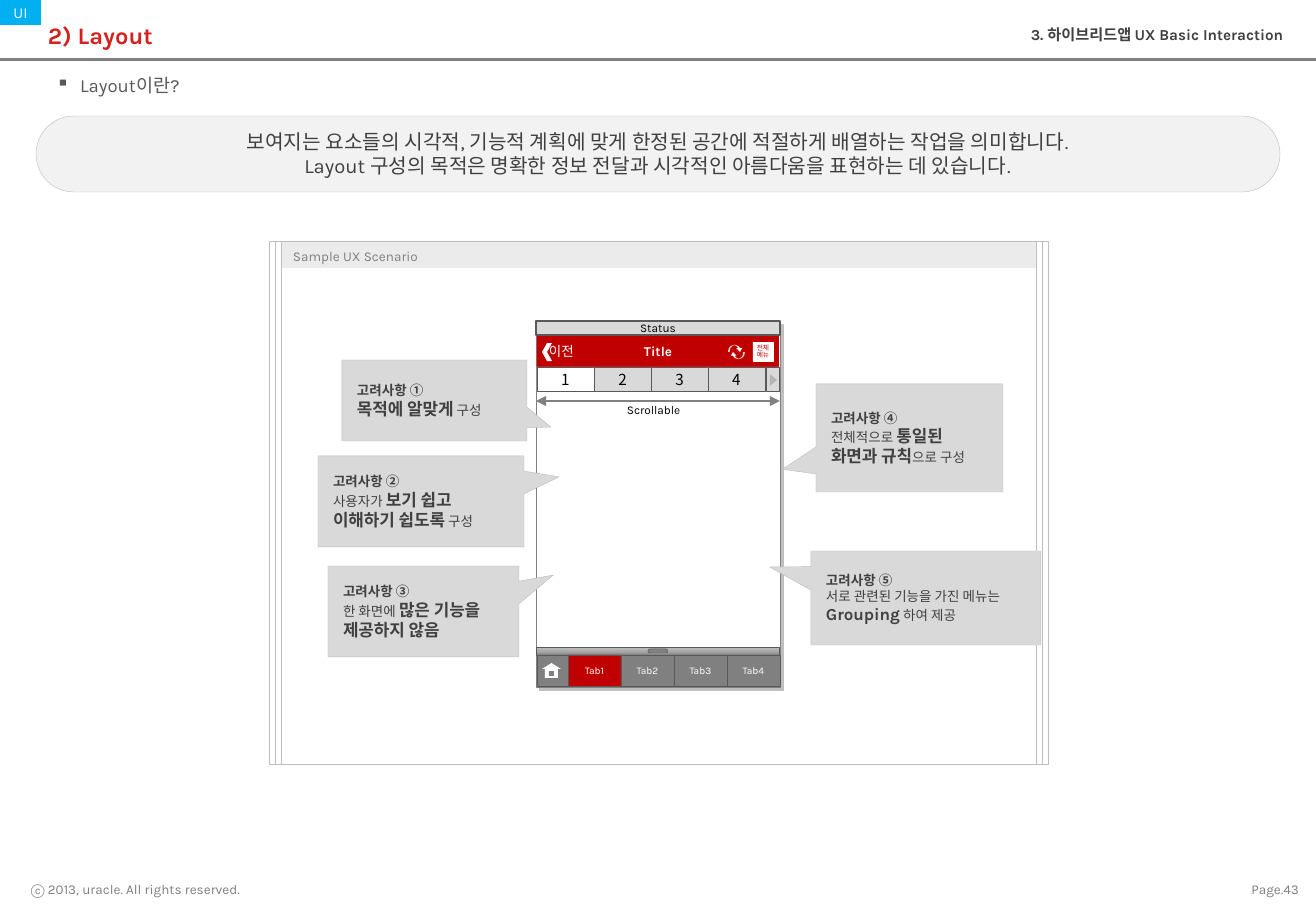
"""Build the Layout slide with its phone mockup and five callouts."""
from copy import deepcopy
from dataclasses import dataclass

from lxml.etree import SubElement
from pptx import Presentation
from pptx.dml.color import RGBColor as Rgb
from pptx.enum.shapes import MSO_CONNECTOR as Link, MSO_SHAPE as Kind
from pptx.enum.text import MSO_ANCHOR as Anchor, PP_ALIGN as Align
from pptx.oxml.ns import qn
from pptx.util import Pt

SCALE = 7526


@dataclass(frozen=True)
class Theme:
    white: str = "FFFFFF"
    black: str = "000000"
    pale: str = "F2F2F2"
    light: str = "D9D9D9"
    edge: str = "BFBFBF"
    mid: str = "A6A6A6"
    gray: str = "808080"
    dark: str = "595959"
    ink: str = "404040"
    red: str = "C00000"
    title: str = "D5211D"
    blue: str = "00B0F0"
    face: str = "Karla"
    asian: str = "Noto Sans CJK KR"
    plain: str = "Arial"
    mini: int = 4
    tab: int = 6
    note: int = 7
    small: int = 8
    label: int = 9
    strong: int = 10
    point: int = 11
    lead: int = 12
    head: int = 14
    thin: float = 0.25
    rule: float = 0.75


T = Theme()


@dataclass(frozen=True)
class Words:
    text: str
    size: int = T.small
    color: str = T.gray
    bold: bool = False
    align: Align = Align.CENTER
    anchor: Anchor = Anchor.MIDDLE
    pad: tuple[int, int] = (0, 0)
    face: str = T.face
    lead: float | None = None
    bullet: str = ""


@dataclass(frozen=True)
class Box:
    x: int
    y: int
    w: int
    h: int
    fill: str | None = None
    line: str | None = None
    words: Words | None = None
    kind: Kind | None = Kind.RECTANGLE
    adj: tuple[float, ...] = ()
    turn: int = 0
    width: float = T.thin
    alpha: int = 100


@dataclass(frozen=True)
class Note:
    x: int
    y: int
    w: int
    h: int
    adj: tuple[float, float]
    mark: str
    bits: tuple[str, str, str]


def px(n: int) -> int:
    return n * SCALE


def style(run, size: int, color: str, bold: bool, face: str = T.face) -> None:
    font = run.font
    font.size, font.bold, font.name = Pt(size), bold, face
    font.color.rgb = Rgb.from_string(color)
    SubElement(font._element, qn("a:ea"), typeface=T.asian)


def frame(shape, pad: tuple[int, int], anchor: Anchor):
    tf = shape.text_frame
    tf.word_wrap, tf.vertical_anchor = True, anchor
    tf.margin_left = tf.margin_right = px(pad[0])
    tf.margin_top = tf.margin_bottom = px(pad[1])
    return tf


def write(shape, words: Words) -> None:
    tf = frame(shape, words.pad, words.anchor)
    tf.text = words.text
    for para in tf.paragraphs:
        para.alignment = words.align
        if words.lead:
            para.line_spacing = words.lead
        if words.bullet:
            prop = para._p.get_or_add_pPr()
            prop.set("marL", str(px(24)))
            prop.set("indent", str(px(-24)))
            SubElement(prop, qn("a:buChar"), char=words.bullet)
        for run in para.runs:
            style(run, words.size, words.color, words.bold, words.face)


def draw(slide, box: Box):
    area = [px(n) for n in (box.x, box.y, box.w, box.h)]
    if box.kind is None:
        shape = slide.shapes.add_textbox(*area)
    else:
        shape = slide.shapes.add_shape(box.kind, *area)
        shape.shadow.inherit = False
        shape.rotation = box.turn
        for i, value in enumerate(box.adj):
            shape.adjustments[i] = value
        if box.fill:
            shape.fill.solid()
            shape.fill.fore_color.rgb = Rgb.from_string(box.fill)
            if box.alpha < 100:
                tint = shape._element.spPr.find(".//" + qn("a:srgbClr"))
                SubElement(tint, qn("a:alpha"), val=str(box.alpha * 1000))
        else:
            shape.fill.background()
        if box.line:
            shape.line.color.rgb = Rgb.from_string(box.line)
            shape.line.width = Pt(box.width)
        else:
            shape.line.fill.background()
    if box.words:
        write(shape, box.words)
    return shape


def cast(shape) -> None:
    effect = shape._element.spPr.find(qn("a:effectLst"))
    drop = SubElement(effect, qn("a:outerShdw"), blurRad="0", dist=str(int(Pt(3))),
                      dir="2700000", algn="tl", rotWithShape="0")
    SubElement(drop, qn("a:srgbClr"), val=T.edge)


def shade(shape) -> None:
    shape.fill.gradient()
    shape.fill.gradient_angle = 90
    stops = shape._element.spPr.find(".//" + qn("a:gsLst"))
    stops.insert(1, deepcopy(stops[0]))
    for stop, spot, color in zip(shape.fill.gradient_stops, (0, 0.35, 1), (T.gray, T.mid, T.edge)):
        stop.position = spot
        stop.color.rgb = Rgb.from_string(color)


def span(slide, x: int, y: int, end: int) -> None:
    line = slide.shapes.add_connector(Link.STRAIGHT, px(x), px(y), px(end), px(y))
    line.line.color.rgb = Rgb.from_string(T.gray)
    line.line.width = Pt(T.rule)
    for tip in ("a:headEnd", "a:tailEnd"):
        SubElement(line.line._get_or_add_ln(), qn(tip), type="triangle")
    SubElement(line._element.spPr, qn("a:effectLst"))


def tell(slide, note: Note) -> None:
    shape = draw(slide, Box(note.x, note.y, note.w, note.h, T.light, T.edge,
                            kind=Kind.RECTANGULAR_CALLOUT, adj=note.adj))
    tf = frame(shape, (15, 6), Anchor.MIDDLE)
    tf.text = f"고려사항 {note.mark}"
    style(tf.paragraphs[0].runs[0], T.small, T.ink, True)
    body = tf.add_paragraph()
    for i, bit in enumerate(note.bits):
        if bit:
            run = body.add_run()
            run.text = bit
            style(run, T.strong if i == 1 else T.small, T.ink, i == 1)
    for para in tf.paragraphs:
        para.alignment = Align.LEFT


LEFT, RIGHT = Align.LEFT, Align.RIGHT
ROUND, ARROW = Kind.ROUNDED_RECTANGLE, Kind.CURVED_DOWN_ARROW
BEND = (0.25, 0.83, 0.53)
LEAD = ("보여지는 요소들의 시각적, 기능적 계획에 맞게 한정된 공간에 적절하게 배열하는 작업을 의미합니다.\n"
        "Layout 구성의 목적은 명확한 정보 전달과 시각적인 아름다움을 표현하는 데 있습니다.")

PAGE = [
    Box(0, 58, 1316, 3, T.gray),
    Box(1237, 876, 62, 27, words=Words("Page.43", align=RIGHT), kind=None),
    Box(31, 876, 243, 27, words=Words("ⓒ 2013, uracle. All rights reserved.", align=LEFT), kind=None),
    Box(281, 241, 755, 27, T.light, alpha=50,
        words=Words("Sample UX Scenario", align=LEFT, pad=(12, 6), lead=1.2)),
    *[Box(281 - 6 * i, 241, 755 + 12 * i, 523, line=T.edge) for i in range(3)],
    Box(36, 116, 1244, 76, T.pale, T.edge, kind=ROUND, adj=(0.5,)),
    Box(0, 0, 41, 25, T.blue, words=Words("UI", T.label, T.white)),
    Box(62, 125, 1191, 57, words=Words(LEAD, T.lead, T.ink), kind=None),
    Box(36, 10, 1255, 50, kind=None,
        words=Words("2) Layout", T.head, T.title, True, LEFT, pad=(12, 6))),
    Box(836, 19, 459, 34, kind=None,
        words=Words("3. 하이브리드앱 UX Basic Interaction", T.label, T.ink, True, RIGHT, Anchor.TOP, (12, 6))),
    Box(44, 68, 1141, 34, kind=None,
        words=Words("Layout이란?", T.point, T.dark, align=LEFT, pad=(12, 6), bullet="▪")),
]

PHONE = [
    Box(537, 335, 242, 33, T.red, words=Words("Title", color=T.white, bold=True)),
    Box(753, 342, 20, 19, T.white, T.white, Words("전체\n메뉴", T.mini, T.red, lead=0.9)),
    Box(536, 321, 244, 14, T.light, T.dark, Words("Status", T.note, T.black), width=T.rule),
    Box(728, 345, 15, 7, T.white, kind=ARROW, adj=BEND),
    Box(730, 352, 15, 7, T.white, kind=ARROW, adj=BEND, turn=180),
    *[Box(568 + 53 * i, 655, 53, 31, T.gray if i else T.red, T.dark,
          Words(f"Tab{i + 1}", T.tab, T.white)) for i in range(4)],
    Box(537, 655, 31, 31, T.gray, T.dark),
    Box(542, 663, 19, 6, T.white, kind=Kind.ISOSCELES_TRIANGLE),
    Box(545, 668, 13, 10, T.white),
    Box(549, 671, 5, 5, T.gray),
    Box(627, 403, 66, 15, words=Words("Scrollable", T.note, T.black, align=LEFT, anchor=Anchor.TOP), kind=None),
    Box(766, 367, 13, 24, T.light, T.dark),
    Box(770, 374, 7, 12, T.mid, kind=Kind.PENTAGON, adj=(1.76,), alpha=70),
    *[Box(537 + 57 * i, 367, 57, 24, T.light if i else T.white, T.dark,
          Words(f"{i + 1}", T.label, T.black, face=T.asian)) for i in range(4)],
    Box(549, 339, 43, 25, words=Words("이전", color=T.white, align=LEFT, face=T.plain), kind=None),
    Box(542, 343, 10, 18, T.white, kind=Kind.CHEVRON, turn=180),
]

NOTES = [
    Note(318, 456, 206, 91, (0.67, -0.27), "②", ("사용자가 ", "보기 쉽고 이해하기 쉽도록", " 구성")),
    Note(328, 566, 191, 91, (0.68, -0.4), "③", ("한 화면에 ", "많은 기능을 제공하지 않음", "")),
    Note(816, 384, 187, 108, (-0.68, 0.29), "④", ("전체적으로 ", "통일된 화면과 규칙", "으로 구성")),
    Note(811, 551, 230, 94, (-0.68, -0.33), "⑤", ("서로 관련된 기능을 가진 메뉴는 ", "Grouping", " 하여 제공")),
    Note(342, 360, 185, 81, (0.63, 0.33), "①", ("", "목적에 알맞게", " 구성")),
]


def main() -> None:
    deck = Presentation()
    deck.slide_width, deck.slide_height = px(1316), px(911)
    slide = deck.slides.add_slide(deck.slide_layouts[6])
    for box in PAGE:
        draw(slide, box)
    cast(draw(slide, Box(536, 321, 244, 366, T.white, T.gray)))
    shade(draw(slide, Box(536, 647, 243, 8, line=T.dark)))
    draw(slide, Box(648, 649, 20, 4, T.gray, T.dark, kind=ROUND, adj=(0.5,)))
    for box in PHONE:
        draw(slide, box)
    span(slide, 536, 401, 780)
    for note in NOTES:
        tell(slide, note)
    deck.save("out.pptx")


if __name__ == "__main__":
    main()
